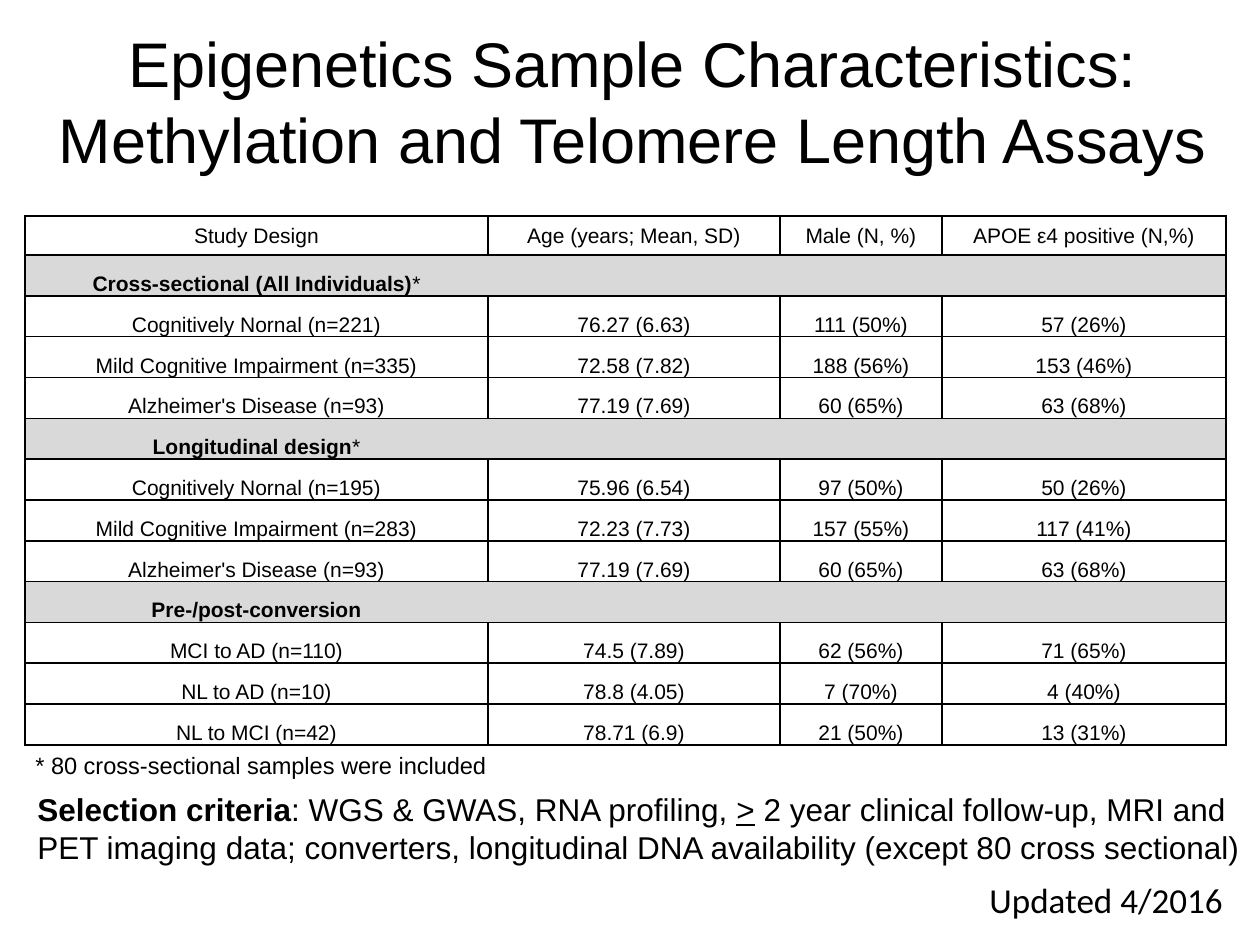
from dataclasses import dataclass

import pptx
import pptx.dml.color
import pptx.enum.text
import pptx.oxml
import pptx.oxml.ns
import pptx.util

RGBColor = pptx.dml.color.RGBColor
Align = pptx.enum.text.PP_ALIGN
Anchor = pptx.enum.text.MSO_ANCHOR
AutoSize = pptx.enum.text.MSO_AUTO_SIZE

BLACK = RGBColor(0x00, 0x00, 0x00)
SECTION_GRAY = RGBColor(0xD9, 0xD9, 0xD9)
PX_PER_INCH = 126


def px(length: int) -> pptx.util.Emu:
    return pptx.util.Emu(round(length * pptx.util.Inches(1) / PX_PER_INCH))


@dataclass(frozen=True)
class Box:
    left: int
    top: int
    width: int
    height: int

    def emu(self) -> list:
        return [px(side) for side in (self.left, self.top, self.width, self.height)]


@dataclass(frozen=True)
class Run:
    text: str
    bold: bool = False
    underline: bool = False


@dataclass(frozen=True)
class Note:
    box: Box
    runs: tuple
    size: float
    font: str = "Arial"
    wrap: bool = True


@dataclass(frozen=True)
class Section:
    heading: tuple
    rows: tuple


TITLE = "Epigenetics Sample Characteristics: Methylation and Telomere Length Assays"
TITLE_BOX = Box(21, 32, 1223, 137)
TABLE_BOX = Box(25, 216, 1201, 529)
COLUMN_WIDTHS = (463, 292, 162, 284)
HEADER_HEIGHT = 39
HEADER = ("Study Design", "Age (years; Mean, SD)", "Male (N, %)", "APOE ε4 positive (N,%)")

SECTIONS = (
    Section((Run("Cross-sectional (All Individuals)", bold=True), Run("*")), (
        ("Cognitively Nornal (n=221)", "76.27 (6.63)", "111 (50%)", "57 (26%)"),
        ("Mild Cognitive Impairment (n=335)", "72.58 (7.82)", "188 (56%)", "153 (46%)"),
        ("Alzheimer's Disease (n=93)", "77.19 (7.69)", "60 (65%)", "63 (68%)"),
    )),
    Section((Run("Longitudinal design", bold=True), Run("*")), (
        ("Cognitively Nornal (n=195)", "75.96 (6.54)", "97 (50%)", "50 (26%)"),
        ("Mild Cognitive Impairment (n=283)", "72.23 (7.73)", "157 (55%)", "117 (41%)"),
        ("Alzheimer's Disease (n=93)", "77.19 (7.69)", "60 (65%)", "63 (68%)"),
    )),
    Section((Run("Pre-/post-conversion", bold=True),), (
        ("MCI to AD (n=110)", "74.5 (7.89)", "62 (56%)", "71 (65%)"),
        ("NL to AD (n=10)", "78.8 (4.05)", "7 (70%)", "4 (40%)"),
        ("NL to MCI (n=42)", "78.71 (6.9)", "21 (50%)", "13 (31%)"),
    )),
)

NOTES = (
    Note(Box(25, 784, 1235, 89), (
        Run("Selection criteria", bold=True),
        Run(": WGS & GWAS, RNA profiling, "),
        Run(">", underline=True),
        Run(" 2 year clinical follow-up, MRI and PET imaging data; converters, "
            "longitudinal DNA availability (except 80 cross sectional)"),
    ), 18),
    Note(Box(977, 872, 270, 55), (Run("Updated 4/2016"),), 20, font="Calibri"),
    Note(Box(23, 745, 483, 42), (Run("* 80 cross-sectional samples were included"),), 13.5, wrap=False),
)


def apply(target, values: dict) -> None:
    for attribute, value in values.items():
        setattr(target, attribute, value)


def write_runs(paragraph, runs: tuple, size: float, font: str = "Arial") -> None:
    for part in runs:
        run = paragraph.add_run()
        run.text = part.text
        apply(run.font, {"name": font, "size": pptx.util.Pt(size),
                         "bold": part.bold, "underline": part.underline})
        run.font.color.rgb = BLACK


def add_borders(cell, visible: str) -> None:
    properties = cell._tc.get_or_add_tcPr()
    for side in "LRTB":
        paint = f'<a:solidFill><a:srgbClr val="{BLACK}"/></a:solidFill>' if side in visible else "<a:noFill/>"
        properties.append(pptx.oxml.parse_xml(
            f'<a:ln{side} {pptx.oxml.ns.nsdecls("a")} w="{pptx.util.Pt(1)}">{paint}</a:ln{side}>'))


def fill_cell(cell, runs: tuple, anchor, borders: str = "LRTB", shaded: bool = False) -> None:
    apply(cell, {"margin_left": px(1), "margin_right": px(1), "margin_top": px(1),
                 "margin_bottom": 0, "vertical_anchor": anchor})
    add_borders(cell, borders)
    if shaded:
        cell.fill.solid()
        cell.fill.fore_color.rgb = SECTION_GRAY
    else:
        cell.fill.background()
    paragraph = cell.text_frame.paragraphs[0]
    paragraph.alignment = Align.CENTER
    write_runs(paragraph, runs, 12)


def add_title(slide) -> None:
    title = slide.shapes.title
    apply(title, dict(zip(("left", "top", "width", "height"), TITLE_BOX.emu())))
    apply(title.text_frame, {"vertical_anchor": Anchor.MIDDLE, "word_wrap": True,
                             "auto_size": AutoSize.NONE})
    paragraph = title.text_frame.paragraphs[0]
    paragraph.alignment = Align.CENTER
    write_runs(paragraph, (Run(TITLE),), 36)


def add_sample_table(slide) -> None:
    body_count = sum(1 + len(section.rows) for section in SECTIONS)
    samples = slide.shapes.add_table(body_count + 1, len(HEADER), *TABLE_BOX.emu()).table
    apply(samples, {"first_row": False, "horz_banding": False})
    for column, width in zip(samples.columns, COLUMN_WIDTHS):
        column.width = px(width)
    for row in samples.rows:
        row.height = px(TABLE_BOX.height - HEADER_HEIGHT) // body_count
    samples.rows[0].height = px(HEADER_HEIGHT)

    for cell, label in zip(samples.rows[0].cells, HEADER):
        fill_cell(cell, (Run(label),), Anchor.MIDDLE)
    body = iter(list(samples.rows)[1:])
    last = len(HEADER) - 1
    for section in SECTIONS:
        for index, cell in enumerate(next(body).cells):
            borders = "TB" + {0: "L", last: "R"}.get(index, "")
            fill_cell(cell, () if index else section.heading, Anchor.BOTTOM, borders, shaded=True)
        for values in section.rows:
            for cell, value in zip(next(body).cells, values):
                fill_cell(cell, (Run(value),), Anchor.BOTTOM)


def add_note(slide, note: Note) -> None:
    frame = slide.shapes.add_textbox(*note.box.emu()).text_frame
    apply(frame, {"word_wrap": note.wrap, "auto_size": AutoSize.SHAPE_TO_FIT_TEXT})
    write_runs(frame.paragraphs[0], note.runs, note.size, note.font)


def main() -> None:
    deck = pptx.Presentation()
    apply(deck, {"slide_width": pptx.util.Inches(10), "slide_height": pptx.util.Inches(7.5)})
    slide = deck.slides.add_slide(deck.slide_layouts.get_by_name("Title Only"))
    add_title(slide)
    add_sample_table(slide)
    for note in NOTES:
        add_note(slide, note)
    deck.save("out.pptx")


if __name__ == "__main__":
    main()
